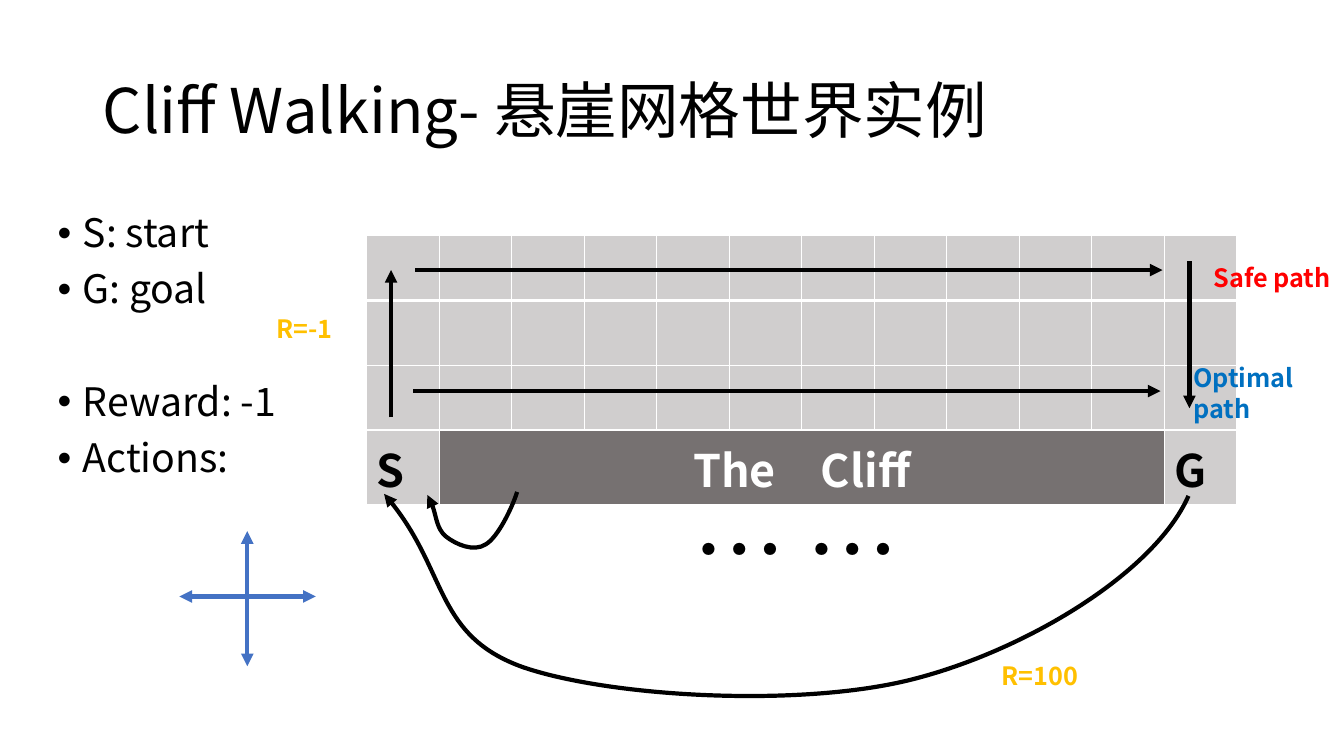
from itertools import product

from lxml.etree import SubElement
from pptx import Presentation
from pptx.dml.color import RGBColor
from pptx.enum.shapes import MSO_CONNECTOR
from pptx.enum.text import MSO_ANCHOR, MSO_AUTO_SIZE, PP_ALIGN
from pptx.oxml.ns import qn
from pptx.util import Inches, Pt

BLACK = RGBColor(0x00, 0x00, 0x00)
WHITE = RGBColor(0xFF, 0xFF, 0xFF)
BLUE = RGBColor(0x44, 0x72, 0xC4)
CELL = RGBColor(0xD0, 0xCE, 0xCE)
CLIFF = RGBColor(0x76, 0x71, 0x71)
GOLD = RGBColor(0xFF, 0xC0, 0x00)
RED = RGBColor(0xFF, 0x00, 0x00)
OPTIMAL = RGBColor(0x00, 0x70, 0xC0)


class Deck:
    font = "Noto Sans CJK SC"
    line_width = Pt(3)

    def __init__(self):
        self.prs = Presentation()
        self.prs.slide_width = Inches(13.33)
        self.prs.slide_height = Inches(7.5)
        self.s = self.prs.slides.add_slide(self.prs.slide_layouts[1])

    def x(self, percent):
        return round(self.prs.slide_width * percent / 100)

    def y(self, percent):
        return round(self.prs.slide_height * percent / 100)

    def box(self, left, top, width, height):
        return self.x(left), self.y(top), self.x(width), self.y(height)

    def run(self, p, text, size, color=BLACK, bold=False):
        r = p.add_run()
        r.text = text
        r.font.name = self.font
        r.font.size = Pt(size)
        r.font.bold = bold
        r.font.color.rgb = color
        SubElement(r.font._element, qn("a:ea"), typeface=self.font)

    def place(self, sp, at):
        sp.left, sp.top, sp.width, sp.height = self.box(*at)
        tf = sp.text_frame
        tf.word_wrap = True
        tf.auto_size = MSO_AUTO_SIZE.NONE
        return tf

    def title(self, text, at):
        tf = self.place(self.s.shapes.title, at)
        tf.vertical_anchor = MSO_ANCHOR.MIDDLE
        p = tf.paragraphs[0]
        p.alignment = PP_ALIGN.LEFT
        p.line_spacing = 0.9
        self.run(p, text, 44)

    def bullets(self, items, at):
        tf = self.place(self.s.placeholders[1], at)
        for i, (text, space) in enumerate(items):
            p = tf.add_paragraph() if i else tf.paragraphs[0]
            pPr = p._p.get_or_add_pPr()
            pPr.set("marL", str(Inches(0.25)))
            pPr.set("indent", str(-Inches(0.25)))
            SubElement(pPr, qn("a:buFont"), typeface="Arial")
            SubElement(pPr, qn("a:buChar"), char="•")
            p.line_spacing = 0.9
            p.space_before = Pt(space)
            self.run(p, text, 28)

    def label(self, text, at, color, size=18, bold=True, align=PP_ALIGN.LEFT):
        sp = self.s.shapes.add_textbox(*self.box(*at))
        tf = sp.text_frame
        tf.word_wrap = True
        tf.auto_size = MSO_AUTO_SIZE.SHAPE_TO_FIT_TEXT
        p = tf.paragraphs[0]
        p.alignment = align
        self.run(p, text, size, color, bold)

    def stroke(self, sp, color, ends):
        sp.line.color.rgb = color
        sp.line.width = self.line_width
        ln = sp._element.spPr.find(qn("a:ln"))
        for end in ends:
            SubElement(ln, qn(f"a:{end}"), type="triangle")

    def arrow(self, x1, y1, x2, y2, color=BLACK, ends=("tailEnd",)):
        c = self.s.shapes.add_connector(
            MSO_CONNECTOR.STRAIGHT, self.x(x1), self.y(y1), self.x(x2), self.y(y2))
        self.stroke(c, color, ends)
        SubElement(c._element.spPr, qn("a:effectLst"))
        return c

    def curve(self, points):
        start, *rest = [(self.x(px), self.y(py)) for px, py in points]
        builder = self.s.shapes.build_freeform(*start)
        builder.add_line_segments(rest, close=False)
        sp = builder.convert_to_shape()
        sp.shadow.inherit = False
        sp.fill.background()
        self.stroke(sp, BLACK, ("tailEnd",))
        outline = sp._element.find(f".//{qn('a:path')}")
        segments = outline.findall(qn("a:lnTo"))
        for i in range(0, len(segments), 3):
            bezier = SubElement(outline, qn("a:cubicBezTo"))
            for segment in segments[i:i + 3]:
                bezier.append(segment[0])
                outline.remove(segment)

    def border(self, cell, side, width):
        ln = SubElement(cell._tc.get_or_add_tcPr(), qn(f"a:ln{side}"), w=str(Pt(width)))
        fill = SubElement(ln, qn("a:solidFill"))
        SubElement(fill, qn("a:srgbClr"), val=str(WHITE))

    def world(self, at, rows, cols):
        table = self.s.shapes.add_table(rows, cols, *self.box(*at)).table
        for row, col in product(range(rows), range(cols)):
            cell = table.cell(row, col)
            for side in "LRTB":
                thick = (row, side) in ((0, "B"), (1, "T"))
                self.border(cell, side, 3 if thick else 1)
            cell.fill.solid()
            cell.fill.fore_color.rgb = CELL
        last = rows - 1
        cliff = table.cell(last, 1)
        cliff.merge(table.cell(last, cols - 2))
        cliff.fill.fore_color.rgb = CLIFF
        cliff.text_frame.paragraphs[0].alignment = PP_ALIGN.CENTER
        for col, text, color in ((0, "S", BLACK), (1, "The　Cliff", WHITE),
                                 (cols - 1, "G", BLACK)):
            p = table.cell(last, col).text_frame.paragraphs[0]
            self.run(p, text, 32, color, True)


def main():
    d = Deck()
    d.title("Cliff Walking- 悬崖网格世界实例", (6.9, 5.33, 86.25, 19.33))
    d.bullets([("S: start", 0), ("G: goal", 10), ("Reward: -1", 50), ("Actions:", 10)],
              (3.53, 27.6, 31.05, 63.47))

    both = ("headEnd", "tailEnd")
    d.s.shapes.add_group_shape([
        d.arrow(18.4, 70.27, 18.4, 88.13, BLUE, both),
        d.arrow(23.5, 78.9, 13.35, 78.9, BLUE, both),
    ])

    d.world((27.3, 31.2, 64.72, 34.24), 4, 12)
    d.label("R=-1", (19.8, 40.8, 6.67, 5.33), GOLD)
    d.curve([(88.43, 65.6), (85.88, 75.87), (76.2, 86.13), (67.88, 89.87),
             (59.63, 93.6), (45.53, 92.27), (38.93, 88.27),
             (32.4, 84.13), (33.38, 75.07), (28.58, 65.33)])
    d.curve([(38.48, 65.07), (38.1, 67.2), (37.05, 71.07), (36.15, 72),
             (35.25, 73.07), (33.9, 72), (33.15, 70.93),
             (32.48, 69.87), (32.4, 67.07), (31.8, 65.47)])
    d.label("… …", (44.7, 64.4, 29.1, 16.13), BLACK, 66, False, PP_ALIGN.CENTER)

    d.arrow(29.1, 55.2, 29.1, 35.73)
    d.arrow(88.5, 34.53, 88.5, 54)
    d.arrow(30.9, 35.73, 86.5, 35.73)
    d.arrow(30.75, 51.73, 86.35, 51.73)
    d.label("Safe path", (89.55, 34, 11.1, 5.33), RED)
    d.label("Optimal path", (88.05, 47.33, 13, 5.33), OPTIMAL)
    d.label("R=100", (73.8, 86.67, 9.45, 5.33), GOLD)
    d.prs.save("out.pptx")


if __name__ == "__main__":
    main()
